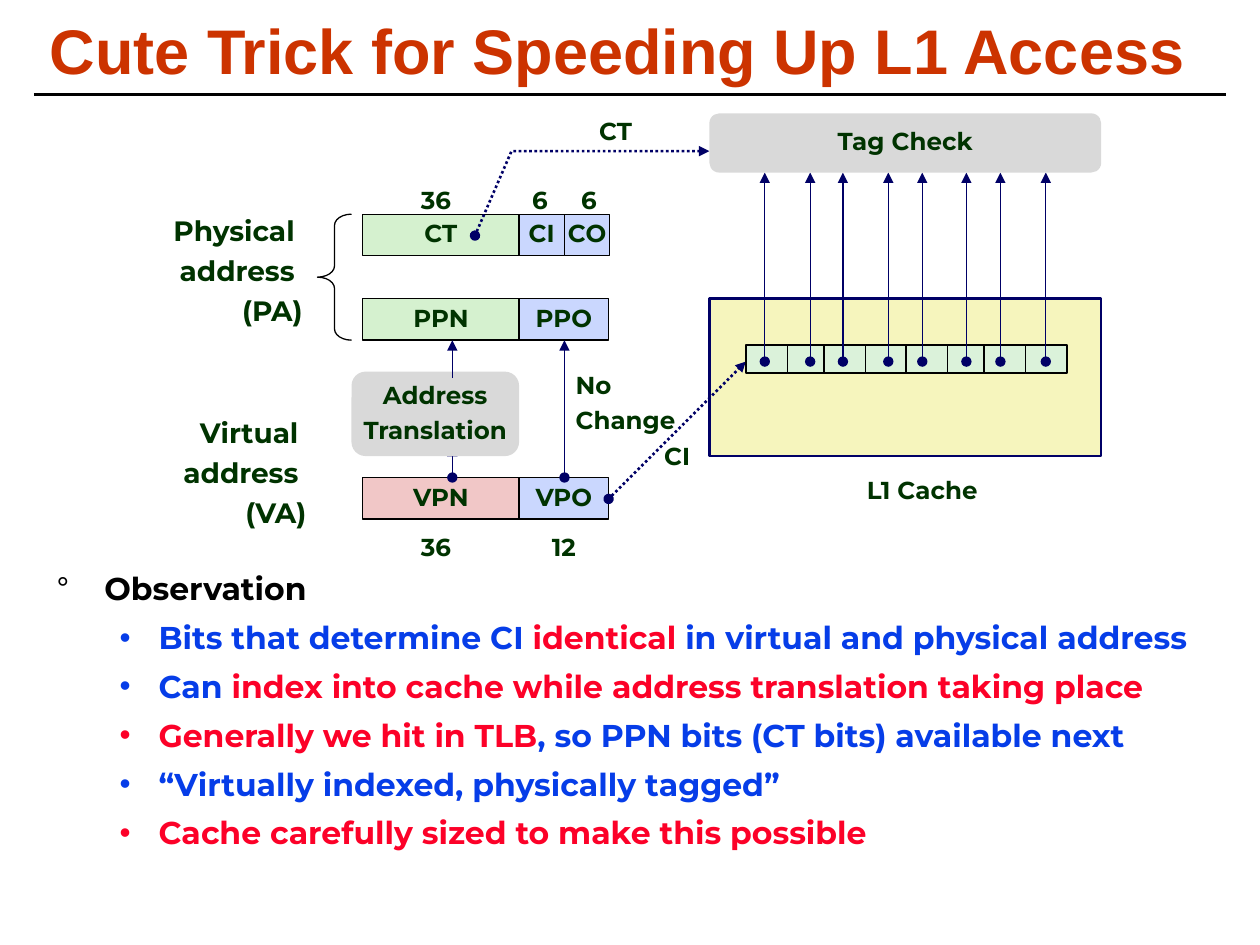
from lxml.etree import SubElement
from pptx import Presentation
from pptx.dml.color import RGBColor
from pptx.enum.dml import MSO_LINE
from pptx.enum.shapes import MSO_CONNECTOR, MSO_SHAPE
from pptx.enum.text import MSO_ANCHOR, PP_ALIGN
from pptx.oxml.ns import qn
from pptx.util import Inches, Pt

COLORS = {
    "title": "CC3300", "label": "003300", "black": "000000", "navy": "000066",
    "blue": "063DE8", "red": "FC0128", "green": "D5F1CF", "offset": "CAD7FE",
    "pink": "F1C7C7", "gray": "D9D9D9", "cache": "F6F5BD", "cell": "DBF2DA",
}
FIELD_LEFT, OFFSET_LEFT, INDEX_WIDTH = 2.88, 4.12, 0.36
FIELD_WIDTH, OFFSET_WIDTH, FIELD_HEIGHT = 1.24, 0.71, 0.33
PHYSICAL_TOP, PAGE_TOP, VIRTUAL_TOP = 1.7, 2.37, 3.79
CACHE_LEFT, CACHE_WIDTH = 5.63, 3.11
CELL_LEFTS = (5.92, 6.25, 6.54, 6.87, 7.19, 7.52, 7.81, 8.14)
TAG_ARROWS = (6.07, 6.43, 6.69, 7.05, 7.32, 7.67, 7.94, 8.3)

OBSERVATIONS = [
    [("Bits that determine CI ", "blue"), ("identical", "red"),
     (" in virtual and physical address", "blue")],
    [("Can ", "blue"),
     ("index into cache while address translation taking place", "red")],
    [("Generally we hit in TLB", "red"),
     (", so PPN bits (CT bits) available next", "blue")],
    [("“Virtually indexed, physically tagged”", "blue")],
    [("Cache carefully sized to make this possible", "red")],
]


def color(name):
    return RGBColor.from_string(COLORS[name])


def add_bullet(paragraph, character, margin, indent):
    properties = paragraph._p.get_or_add_pPr()
    properties.set("marL", str(Inches(margin)))
    properties.set("indent", str(Inches(-indent)))
    SubElement(properties, qn("a:buFont"), typeface="Arial")
    SubElement(properties, qn("a:buChar"), char=character)


def write_text(shape, paragraphs, size=14, font="Montserrat", fill="label",
               align=PP_ALIGN.CENTER, anchor=MSO_ANCHOR.TOP, wrap=False,
               spacing=0.88, before=5.2, bullets=None):
    """Fill a shape; a paragraph is a string or a list of (text, color) runs."""
    frame = shape.text_frame
    frame.word_wrap = wrap
    frame.vertical_anchor = anchor
    for number, content in enumerate(paragraphs):
        paragraph = frame.paragraphs[0] if number == 0 else frame.add_paragraph()
        if bullets:
            add_bullet(paragraph, *bullets[number])
        paragraph.alignment = align
        paragraph.line_spacing = spacing
        paragraph.space_before = Pt(before if number else 0)
        runs = [(content, fill)] if isinstance(content, str) else content
        for text, run_color in runs:
            run = paragraph.add_run()
            run.text = text
            run.font.size = Pt(size)
            run.font.name = font
            run.font.bold = True
            run.font.color.rgb = color(run_color)


def add_label(slide, box, paragraphs, **text_format):
    shape = slide.shapes.add_textbox(*map(Inches, box))
    write_text(shape, paragraphs, **text_format)
    return shape


def add_box(slide, box, fill=None, line=None, width=0.75, paragraphs=(),
            preset=MSO_SHAPE.RECTANGLE):
    shape = slide.shapes.add_shape(preset, *map(Inches, box))
    shape.shadow.inherit = False
    if fill:
        shape.fill.solid()
        shape.fill.fore_color.rgb = color(fill)
    else:
        shape.fill.background()
    if line:
        shape.line.color.rgb = color(line)
        shape.line.width = Pt(width)
    else:
        shape.line.fill.background()
    if paragraphs:
        write_text(shape, paragraphs, anchor=MSO_ANCHOR.MIDDLE)
    return shape


def add_field(slide, left, top, width, fill, text):
    add_box(slide, (left, top, width, FIELD_HEIGHT), fill, "black",
            paragraphs=[text])


def style_line(shape, name="navy", width=0.75, dotted=False, head=None, tail=None):
    shape.line.color.rgb = color(name)
    shape.line.width = Pt(width)
    if dotted:
        shape.line.dash_style = MSO_LINE.ROUND_DOT
    outline = shape.line._get_or_add_ln()
    for tag, kind in (("a:headEnd", head), ("a:tailEnd", tail)):
        if kind:
            SubElement(outline, qn(tag), type=kind)


def add_line(slide, start, end, **line_format):
    connector = slide.shapes.add_connector(
        MSO_CONNECTOR.STRAIGHT, *map(Inches, (*start, *end)))
    style_line(connector, **line_format)
    SubElement(connector._element.spPr, qn("a:effectLst"))


def add_arrow(slide, start, end, head="oval", **line_format):
    add_line(slide, start, end, head=head, tail="triangle", **line_format)


def add_bent_arrow(slide, points):
    corners = [tuple(map(Inches, point)) for point in points]
    builder = slide.shapes.build_freeform(*corners[0], scale=1.0)
    builder.add_line_segments(corners[1:], close=False)
    shape = builder.convert_to_shape()
    shape.shadow.inherit = False
    shape.fill.background()
    style_line(shape, width=1.5, dotted=True, head="oval", tail="triangle")


def draw_addresses(slide):
    for box, name in (((1.02, 1.68, 1.48, 0.97), ["Physical ", "address ", "(PA)"]),
                      ((1.28, 3.28, 1.25, 0.97), ["Virtual ", "address ", "(VA)"])):
        add_label(slide, box, name, size=16, align=PP_ALIGN.RIGHT, wrap=True, before=6)
    for top, tag, offset, fill in ((PAGE_TOP, "PPN", "PPO", "green"),
                                   (VIRTUAL_TOP, "VPN", "VPO", "pink")):
        add_field(slide, FIELD_LEFT, top, FIELD_WIDTH, fill, tag)
        add_field(slide, OFFSET_LEFT, top, OFFSET_WIDTH, "offset", offset)
    add_field(slide, FIELD_LEFT, PHYSICAL_TOP, FIELD_WIDTH, "green", "CT")
    for column, name in enumerate(("CI", "CO")):
        add_field(slide, OFFSET_LEFT + column * INDEX_WIDTH, PHYSICAL_TOP,
                  INDEX_WIDTH, "offset", name)
    for left, top, width, bits in ((3.23, 1.45, 0.46, "36"), (4.12, 1.45, 0.33, "6"),
                                   (4.51, 1.45, 0.33, "6"), (3.23, 4.2, 0.46, "36"),
                                   (4.12, 4.2, 0.71, "12")):
        add_label(slide, (left, top, width, 0.3), [bits])
    brace = add_box(slide, (2.52, PHYSICAL_TOP, 0.27, 1), line="black",
                    preset=MSO_SHAPE.LEFT_BRACE)
    brace.adjustments[0] = 0.33


def draw_translation(slide):
    page_bottom = PAGE_TOP + FIELD_HEIGHT
    add_arrow(slide, (3.59, VIRTUAL_TOP), (3.59, 3.54))
    add_box(slide, (2.79, 2.95, 1.33, 0.67), "gray",
            paragraphs=["Address", "Translation"], preset=MSO_SHAPE.ROUNDED_RECTANGLE)
    add_arrow(slide, (3.59, 3), (3.59, page_bottom), head=None)
    add_arrow(slide, (4.48, VIRTUAL_TOP), (4.48, page_bottom))
    add_label(slide, (4.47, 2.92, 1, 0.58), ["No", "Change"], align=PP_ALIGN.LEFT)


def draw_cache(slide):
    add_box(slide, (CACHE_LEFT, 2.37, CACHE_WIDTH, 1.25), "cache", "navy", 1.5)
    add_arrow(slide, (4.83, 3.96), (CELL_LEFTS[0], 2.87), width=1.5, dotted=True)
    add_label(slide, (5.16, 3.48, 0.43, 0.3), ["CI"])
    add_bent_arrow(slide, [(3.77, 1.87), (4.06, 1.2), (CACHE_LEFT, 1.2)])
    add_label(slide, (6.61, 3.72, 1.42, 0.33), ["L1 Cache"], spacing=1)
    add_label(slide, (4.64, 0.9, 0.49, 0.3), ["CT"])
    for left in CELL_LEFTS:
        add_box(slide, (left, 2.74, 0.33, 0.22), "cell", "black", 1)
    for center in TAG_ARROWS:
        add_arrow(slide, (center, 2.87), (center, 1.37))
    add_box(slide, (CACHE_LEFT, 0.9, CACHE_WIDTH, 0.47), "gray",
            paragraphs=["Tag Check"], preset=MSO_SHAPE.ROUNDED_RECTANGLE)


def main():
    presentation = Presentation()
    presentation.slide_width, presentation.slide_height = Inches(10), Inches(7.5)
    slide = presentation.slides.add_slide(presentation.slide_layouts[6])
    add_line(slide, (0.27, 0.75), (9.73, 0.75), name="black", width=1.5)
    add_label(slide, (0.26, 0.12, 9.28, 0.63), ["Cute Trick for Speeding Up L1 Access"],
              size=36, font="Arial", fill="title", anchor=MSO_ANCHOR.MIDDLE,
              spacing=0.87)
    add_label(slide, (0.35, 4.47, 9.35, 2.73),
              [[("Observation", "black")], *OBSERVATIONS], size=18,
              align=PP_ALIGN.LEFT, wrap=True, spacing=1, before=6.3,
              bullets=[("°", 0.38, 0.38)] + [("•", 0.81, 0.31)] * len(OBSERVATIONS))
    draw_addresses(slide)
    draw_translation(slide)
    draw_cache(slide)
    presentation.save("out.pptx")


if __name__ == "__main__":
    main()
